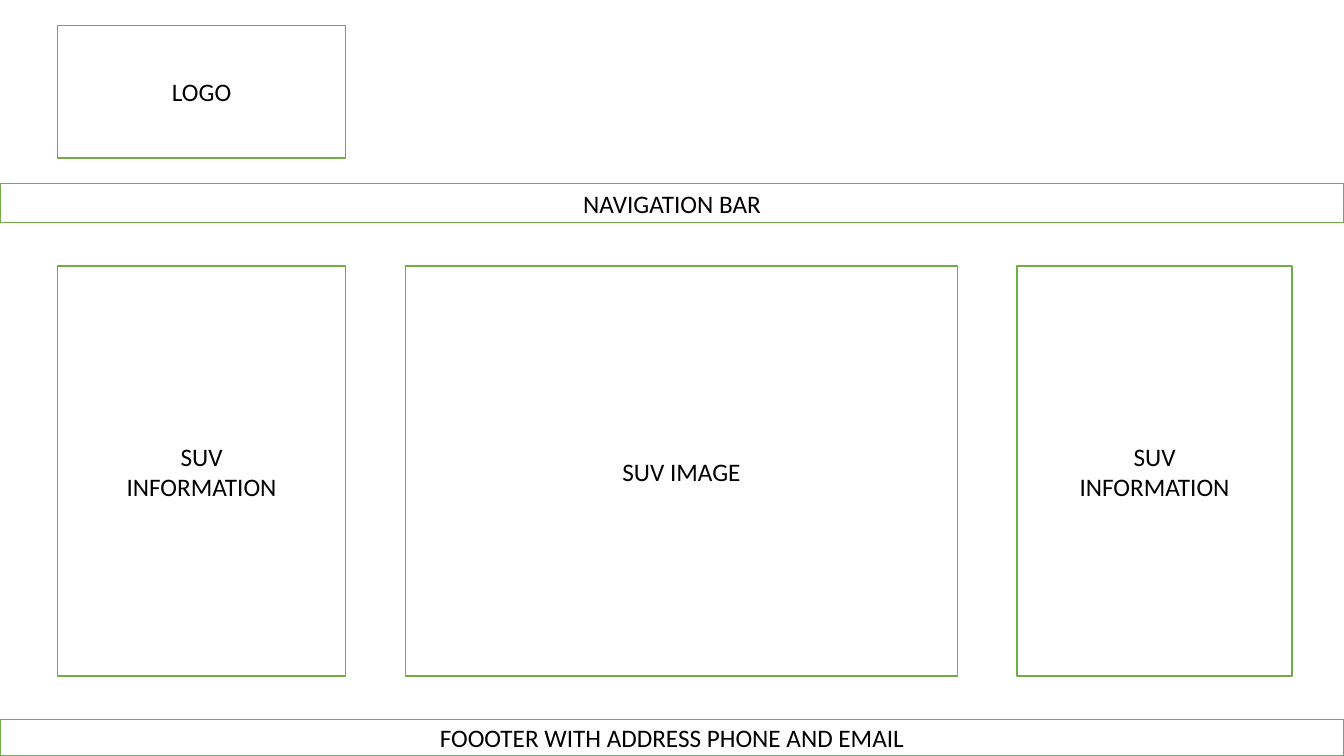
"""Build a wireframe slide for an SUV web page."""
from pptx import Presentation
from pptx.dml.color import RGBColor
from pptx.enum import shapes, text
from pptx.util import Pt

WHITE = RGBColor(0xFF, 0xFF, 0xFF)
BLACK = RGBColor(0, 0, 0)
GREEN = RGBColor(0x70, 0xAD, 0x47)

PAGE_WIDTH, PAGE_HEIGHT = 960, 540
MARGIN, SIDE_WIDTH = 41, 206
BODY_TOP, BODY_HEIGHT = 190, 293
FOOTER_HEIGHT = 26

deck = Presentation()
deck.slide_width, deck.slide_height = Pt(PAGE_WIDTH), Pt(PAGE_HEIGHT)
page = deck.slides.add_slide(deck.slide_layouts[6])

sections = [
    ("LOGO", MARGIN, 18, SIDE_WIDTH, 95),
    ("FOOOTER WITH ADDRESS PHONE AND EMAIL",
     0, PAGE_HEIGHT - FOOTER_HEIGHT, PAGE_WIDTH, FOOTER_HEIGHT),
    ("SUV IMAGE", 289.5, BODY_TOP, 394.5, BODY_HEIGHT),
    ("SUV\nINFORMATION", MARGIN, BODY_TOP, SIDE_WIDTH, BODY_HEIGHT),
    ("SUV\nINFORMATION", 726.5, BODY_TOP, 196.5, BODY_HEIGHT),
    ("NAVIGATION BAR", 0, 131, PAGE_WIDTH, 28),
]

for label, left, top, width, height in sections:
    section = page.shapes.add_shape(
        shapes.MSO_SHAPE.RECTANGLE, Pt(left), Pt(top), Pt(width), Pt(height))
    section.shadow.inherit = False
    section.fill.solid()
    section.fill.fore_color.rgb = WHITE
    section.line.color.rgb = GREEN
    section.line.width = Pt(1)
    frame = section.text_frame
    frame.text = label
    frame.word_wrap = True
    frame.vertical_anchor = text.MSO_ANCHOR.MIDDLE
    for paragraph in frame.paragraphs:
        paragraph.alignment = text.PP_ALIGN.CENTER
        paragraph.font.name = "Calibri"
        paragraph.font.size = Pt(18)
        paragraph.font.color.rgb = BLACK

deck.save("out.pptx")
